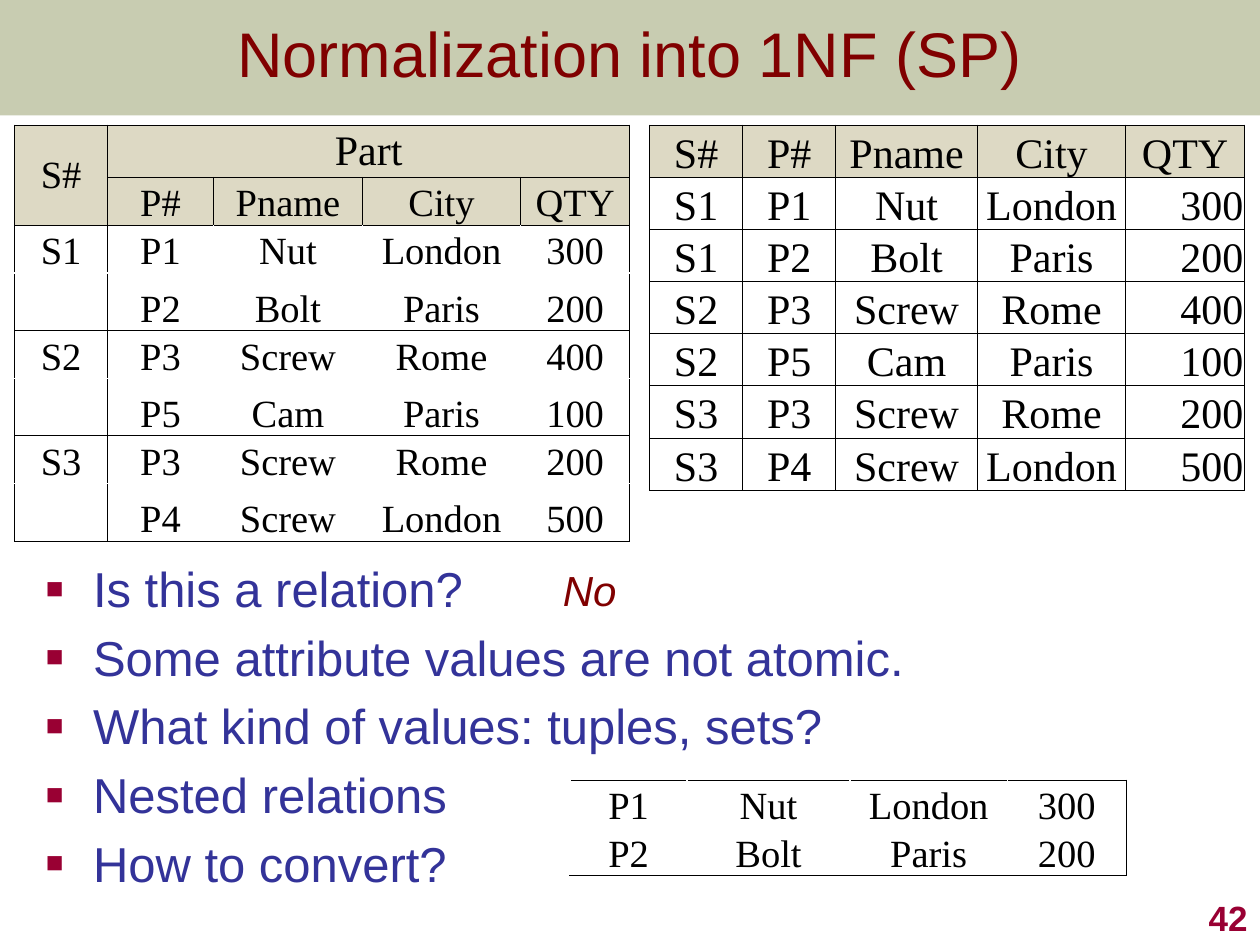
from lxml import etree
from pptx import Presentation
from pptx.dml.color import RGBColor
from pptx.enum import shapes, text
from pptx.oxml import ns
from pptx.util import Pt

# Content
TITLE = "Normalization into 1NF (SP)"
POINTS = ["Is this a relation?", "Some attribute values are not atomic.",
          "What kind of values: tuples, sets?", "Nested relations",
          "How to convert?"]
ANSWER, PAGE = "No", "42"
HEADS = ["S#", "P#", "Pname", "City", "QTY"]
SUPPLY = [("S1", "P1", "Nut", "London", "300"),
          ("S1", "P2", "Bolt", "Paris", "200"),
          ("S2", "P3", "Screw", "Rome", "400"),
          ("S2", "P5", "Cam", "Paris", "100"),
          ("S3", "P3", "Screw", "Rome", "200"),
          ("S3", "P4", "Screw", "London", "500")]

THEME = {
    "title": {"name": "Arial", "size": Pt(36), "color": "800000"},
    "body": {"name": "Arial", "size": Pt(28), "color": "333399"},
    "answer": {"name": "Arial", "size": Pt(24), "color": "800000", "italic": True},
    "page": {"name": "Arial", "size": Pt(20), "color": "990033", "bold": True},
    "flat": {"name": "Times New Roman", "size": Pt(24), "color": "000000"},
    "nest": {"name": "Times New Roman", "size": Pt(22), "color": "000000"},
    "band": "677228", "head": "DDD9C4", "cell": "FFFFFF",
    "rule": "000000", "mark": "990033",
}
ALIGN, ANCHOR = text.PP_ALIGN, text.MSO_ANCHOR


def rgb(code):
    return RGBColor.from_string(code)


def style(font, key):
    for name, value in THEME[key].items():
        if name == "color":
            font.color.rgb = rgb(value)
        else:
            setattr(font, name, value)


def node(parent, tag, **attrs):
    return etree.SubElement(parent, ns.qn(tag), attrs)


def place(shape, box):
    for name, value in zip(("left", "top", "width", "height"), box):
        setattr(shape, name, Pt(value))


def write(shape, lines, key, align=None, **frame):
    tf = shape.text_frame
    tf.text = "\n".join(lines)
    for name, value in frame.items():
        setattr(tf, name, value)
    for para in tf.paragraphs:
        para.alignment = align
        style(para.runs[0].font, key)


def edge(cell, sides):
    props = cell._tc.get_or_add_tcPr()
    for spot, side in enumerate(s for s in "LRTB" if s in sides):
        line = etree.Element(ns.qn("a:ln" + side), w=str(Pt(0.5)))
        fill = node(line, "a:solidFill")
        node(fill, "a:srgbClr", val=THEME["rule"])
        props.insert(spot, line)


def grid(slide, spot, cols, highs, rows, key, heads, sides, last=ALIGN.CENTER):
    """Add a table; sides(row, col) names the ruled edges of each cell."""
    table = slide.shapes.add_table(
        len(rows), len(cols), *map(Pt, (*spot, sum(cols), sum(highs)))).table
    table.first_row = table.horz_banding = False
    for col, wide in zip(table.columns, cols):
        col.width = Pt(wide)
    for row, high in zip(table.rows, highs):
        row.height = Pt(high)
    look = {"margin_left": Pt(0.72), "margin_right": Pt(0.72),
            "margin_top": Pt(0.72), "margin_bottom": 0,
            "vertical_anchor": ANCHOR.BOTTOM}
    for r, row in enumerate(rows):
        for c, word in enumerate(row):
            cell = table.cell(r, c)
            for name, value in look.items():
                setattr(cell, name, value)
            cell.fill.solid()
            cell.fill.fore_color.rgb = rgb(THEME["head" if r < heads else "cell"])
            para = cell.text_frame.paragraphs[0]
            end = c == len(cols) - 1 and r >= heads
            para.alignment = last if end else ALIGN.CENTER
            style(para.font, key)
            if word:
                para.text = word
                style(para.runs[0].font, key)
            edge(cell, sides(r, c))
    return table


def group(r, c):
    """Rule the header fully, then only the outline of each pair of rows."""
    if r < 2:
        return "LRTB"
    return ("B" if r % 2 else "T") + ("LR", "L", "", "", "R")[c]


def tuples(r, c):
    return "TB"[r] + ("R" if c == 3 else "")


def main():
    deck = Presentation()
    deck.slide_width, deck.slide_height = Pt(720), Pt(540)
    slide = deck.slides.add_slide(deck.slide_layouts[1])
    title, body = slide.placeholders

    # Title band, behind everything
    band = slide.shapes.add_shape(shapes.MSO_SHAPE.RECTANGLE, 0, 0, Pt(720), Pt(66))
    band.shadow.inherit = False
    band.line.fill.background()
    band.fill.solid()
    band.fill.fore_color.rgb = rgb(THEME["band"])
    tint = band._element.spPr.find(".//" + ns.qn("a:srgbClr"))
    node(tint, "a:alpha", val="36000")
    slide.shapes._spTree.insert(2, band._element)

    # Title and bullets
    none = text.MSO_AUTO_SIZE.NONE
    place(title, (-0.5, 0.5, 720.5, 59))
    write(title, [TITLE], "title", ALIGN.CENTER, auto_size=none,
          vertical_anchor=ANCHOR.MIDDLE)
    place(body, (19, 315.5, 653, 173.5))
    write(body, POINTS, "body", ALIGN.LEFT, auto_size=none, margin_right=0)
    for para in body.text_frame.paragraphs:
        props = para._p.get_or_add_pPr()
        props.set("marL", str(Pt(27)))
        props.set("indent", str(Pt(-27)))
        node(node(props, "a:buClr"), "a:srgbClr", val=THEME["mark"])
        node(props, "a:buSzPct", val="60000")
        node(props, "a:buFont", typeface="Arial")
        node(props, "a:buChar", char="■")

    # Flat relation
    grid(slide, (371.2, 71.5), (53.2, 53.2, 81, 84.7, 68), [29.8] * 7,
         [HEADS, *SUPPLY], "flat", 1, lambda r, c: "LRTB", ALIGN.RIGHT)

    # Nested relation: each supplier is named once per pair of rows
    pairs = [("" if i % 2 else row[0], *row[1:]) for i, row in enumerate(SUPPLY)]
    nest = grid(slide, (8.3, 71.5), (53.2, 60.5, 85.2, 90.3, 62.4),
                [29.8, 27.4] + [27.4, 32.8] * 3,
                [("S#", "Part", "", "", ""), ("", *HEADS[1:]), *pairs],
                "nest", 2, group)
    nest.cell(0, 0).merge(nest.cell(1, 0))
    nest.cell(0, 1).merge(nest.cell(0, 4))
    for c in (0, 1):
        nest.cell(0, c).vertical_anchor = ANCHOR.MIDDLE
    style(nest.cell(0, 1).text_frame.paragraphs[0].runs[0].font, "flat")

    # Answer
    note = slide.shapes.add_textbox(*map(Pt, (314.5, 319, 45.5, 36)))
    write(note, [ANSWER], "answer", word_wrap=False)

    # One nested value
    grid(slide, (325.7, 445.7), (67, 93, 90, 67.8), [27.4] * 2,
         [row[1:] for row in SUPPLY[:2]], "nest", 0, tuples)

    # Page number
    page = slide.shapes.add_textbox(*map(Pt, (570, 504, 150, 36)))
    write(page, [PAGE], "page", ALIGN.RIGHT, word_wrap=True,
          vertical_anchor=ANCHOR.BOTTOM)

    deck.save("out.pptx")


if __name__ == "__main__":
    main()
